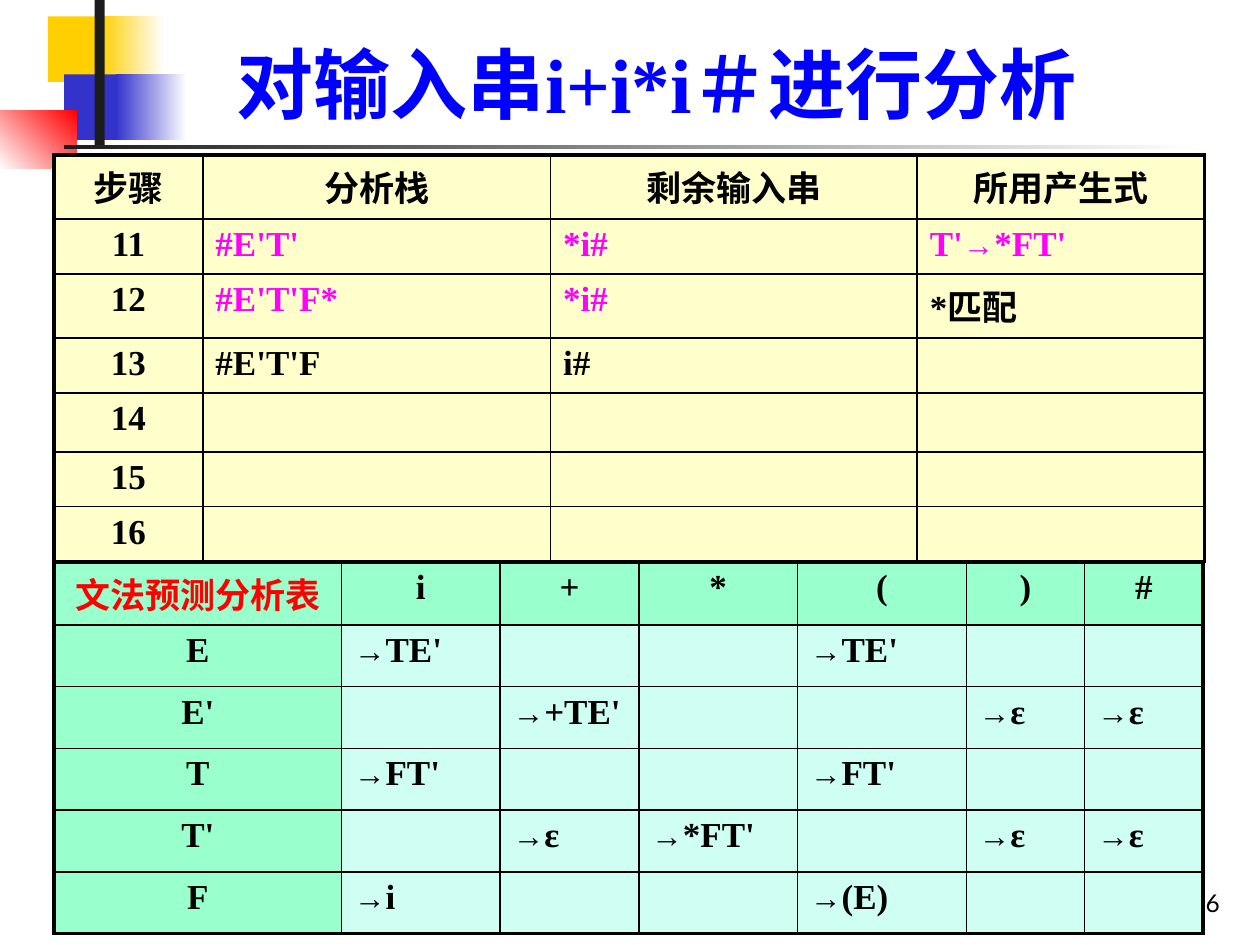
import pptx
import pptx.dml.color
import pptx.enum.shapes
import pptx.enum.text
import pptx.oxml
import pptx.oxml.ns
import pptx.util

Inches = pptx.util.Inches
Pt = pptx.util.Pt
Align = pptx.enum.text.PP_ALIGN

BLACK, WHITE, CHARCOAL = "000000", "FFFFFF", "1C1C1C"
GOLD, INDIGO, RED, BLUE, MAGENTA = "FFCF01", "3333CC", "FF0000", "0000FF", "FF00FF"
CREAM, MINT, PALE_MINT = "FFFFCC", "99FFCC", "CFFFF2"


def rgb(code):
    return pptx.dml.color.RGBColor.from_string(code)


class SlideBuilder:
    font = "Times New Roman"
    table_size, arrow_size = 20, 18
    inner_line, outer_line = 1, 2.25

    def __init__(self, slide):
        self.slide = slide

    def block(self, box, start, end=None, angle=0):
        """Add a borderless rectangle, graded when an end colour is given."""
        shape = self.slide.shapes.add_shape(
            pptx.enum.shapes.MSO_SHAPE.RECTANGLE, *map(Inches, box))
        shape.shadow.inherit = False
        shape.line.fill.background()
        if end is None:
            shape.fill.solid()
            shape.fill.fore_color.rgb = rgb(start)
            return
        shape.fill.gradient()
        shape.fill.gradient_angle = angle
        for stop, colour, position in zip(shape.fill.gradient_stops, (start, end), (0, 1)):
            stop.color.rgb = rgb(colour)
            stop.position = position

    def run(self, paragraph, words, size, colour, bold=True, font=None):
        run = paragraph.add_run()
        run.text = words
        run.font.size = Pt(size)
        run.font.name = font or self.font
        run.font.bold = bold
        run.font.color.rgb = rgb(colour)

    def text(self, box, words, size, colour, align, **style):
        frame = self.slide.shapes.add_textbox(*map(Inches, box)).text_frame
        frame.word_wrap = True
        frame.vertical_anchor = pptx.enum.text.MSO_ANCHOR.BOTTOM
        frame.paragraphs[0].alignment = align
        self.run(frame.paragraphs[0], words, size, colour, **style)

    def border(self, cell, side, width):
        line = pptx.oxml.parse_xml(
            f'<a:ln{side} {pptx.oxml.ns.nsdecls("a")} w="{Pt(width)}">'
            f'<a:solidFill><a:srgbClr val="{BLACK}"/></a:solidFill></a:ln{side}>')
        cell._tc.get_or_add_tcPr().append(line)

    def formula(self, paragraph, words, colour):
        """Write table text, with each arrow smaller than the symbols around it."""
        for index, symbols in enumerate(words.split("→")):
            if index:
                self.run(paragraph, "→", self.arrow_size, colour)
            if symbols:
                self.run(paragraph, symbols, self.table_size, colour)

    def table(self, left, top, widths, heights, rows, head_fill, body_fill, colours):
        """Add a table; the first row and column are centred, colours maps (row, column)."""
        table = self.slide.shapes.add_table(
            len(rows), len(widths), Inches(left), Inches(top),
            Inches(sum(widths)), Inches(sum(heights))).table
        table.first_row = table.horz_banding = False
        for column, width in zip(table.columns, widths):
            column.width = Inches(width)
        for row, height in zip(table.rows, heights):
            row.height = Inches(height)
        for r, row in enumerate(rows):
            for c, words in enumerate(row):
                cell = table.cell(r, c)
                is_head = r == 0 or c == 0
                edges = {"L": c == 0, "R": c == len(row) - 1,
                         "T": r == 0, "B": r == len(rows) - 1}
                for side, outer in edges.items():
                    self.border(cell, side, self.outer_line if outer else self.inner_line)
                cell.fill.solid()
                cell.fill.fore_color.rgb = rgb(head_fill if is_head else body_fill)
                paragraph = cell.text_frame.paragraphs[0]
                paragraph.alignment = Align.CENTER if is_head else Align.LEFT
                if words:
                    self.formula(paragraph, words, colours.get((r, c), BLACK))
                else:
                    paragraph.font.size = Pt(self.arrow_size)


def main():
    deck = pptx.Presentation()
    deck.slide_width, deck.slide_height = Inches(10), Inches(7.5)
    page = SlideBuilder(deck.slides.add_slide(deck.slide_layouts[6]))

    page.block((0.38, 0.13, 0.67, 0.52), GOLD)
    page.block((0.8, 0.13, 0.5, 0.52), GOLD, WHITE)
    page.block((0.51, 0.59, 0.64, 0.52), INDIGO)
    page.block((0.92, 0.59, 0.56, 0.52), INDIGO, WHITE)
    page.block((0, 0.88, 0.61, 0.46), WHITE, RED, angle=45)
    page.block((0.75, 0, 0.08, 1.15), CHARCOAL)
    page.block((0.51, 1.15, 9, 0.03), CHARCOAL, WHITE)

    page.text((7.7, 6.83, 2.08, 0.5), "56", 14, BLACK, Align.RIGHT, bold=False, font="Lato")
    page.text((1.26, 0.23, 7.91, 0.84), "对输入串i+i*i＃进行分析", 44, BLUE, Align.CENTER)

    prediction_rows = [
        ["文法预测分析表", "i", "+", "*", "(", ")", "#"],
        ["E", "→TE'", "", "", "→TE'", "", ""],
        ["E'", "", "→+TE'", "", "", "→ε", "→ε"],
        ["T", "→FT'", "", "", "→FT'", "", ""],
        ["T'", "", "→ε", "→*FT'", "", "→ε", "→ε"],
        ["F", "→i", "", "", "→(E)", "", ""],
    ]
    page.table(0.43, 4.46, [2.28, 1.26, 1.1, 1.26, 1.34, 0.94, 0.94], [0.5] + [0.49] * 5,
               prediction_rows, MINT, PALE_MINT, {(0, 0): RED})

    step_rows = [
        ["步骤", "分析栈", "剩余输入串", "所用产生式"],
        ["11", "#E'T'", "*i#", "T'→*FT'"],
        ["12", "#E'T'F*", "*i#", "*匹配"],
        ["13", "#E'T'F", "i#", ""],
        ["14", "", "", ""],
        ["15", "", "", ""],
        ["16", "", "", ""],
    ]
    current_step = dict.fromkeys([(1, 1), (1, 2), (1, 3), (2, 1), (2, 2)], MAGENTA)
    page.table(0.43, 1.23, [1.18, 2.76, 2.91, 2.28],
               [0.51, 0.41, 0.51, 0.41, 0.47, 0.41, 0.41],
               step_rows, CREAM, CREAM, current_step)

    deck.save("out.pptx")


if __name__ == "__main__":
    main()
